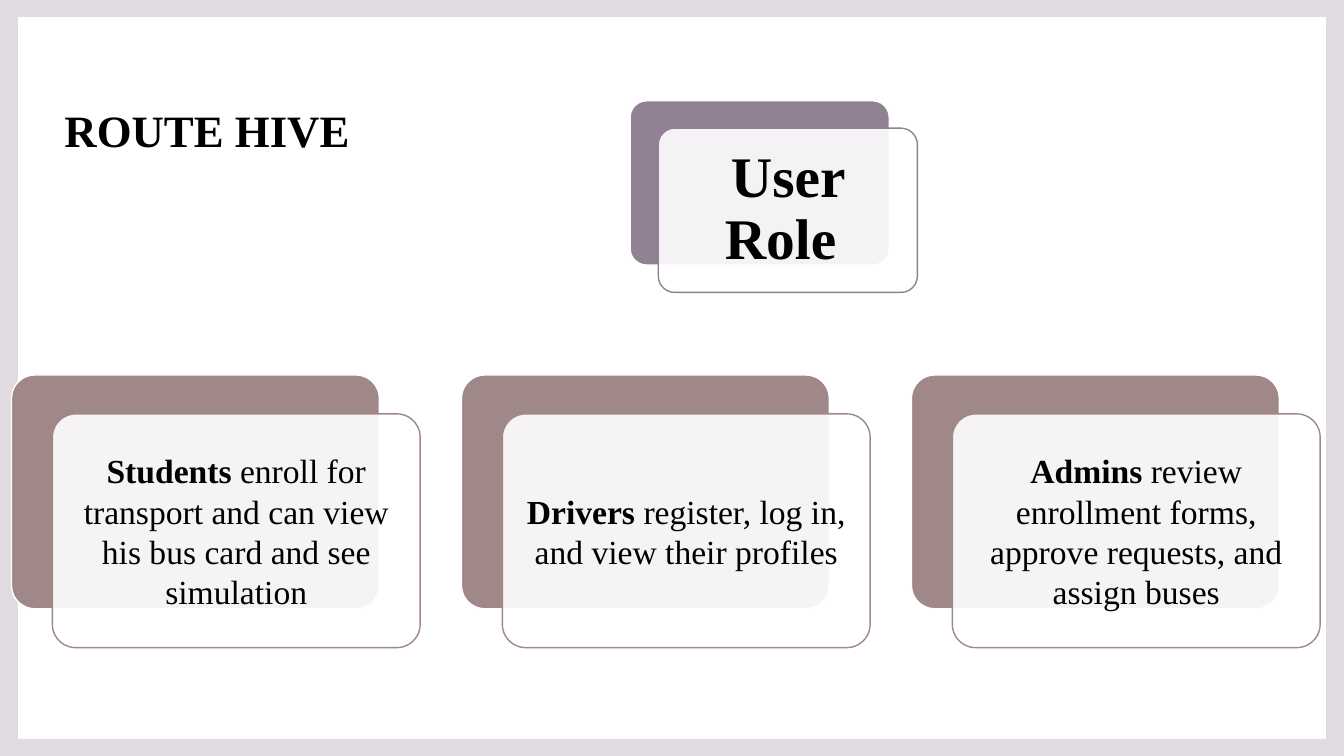
"""Build the Route Hive user role slide."""
from lxml.etree import SubElement
from pptx import Presentation
from pptx.dml.color import RGBColor
from pptx.enum.shapes import MSO_SHAPE
from pptx.enum.text import MSO_ANCHOR, PP_ALIGN
from pptx.oxml.ns import qn
from pptx.util import Cm, Pt

WIDTH, HEIGHT = 33.87, 19.05
FONT = "Times New Roman"
TITLE = "ROUTE HIVE"
BORDER = {"x": 0.45, "y": 0.43, "color": "E0DCE1"}
ROLE = {
    "runs": [("User Role ", True)],
    "box": (15.88, 2.54, 6.53, 4.14), "shift": (0.71, 0.69), "color": "908193",
    "gap": 0.13, "inset": 0.43, "size": 41, "spacing": 0.9,
}
USERS = [
    [("Students", True),
     (" enroll for transport and can view his bus card and see simulation", False)],
    [("Drivers", True), (" register, log in, and view their profiles", False)],
    [("Admins ", True),
     ("review enrollment forms, approve requests, and assign buses", False)],
]
USER_LEFT, USER_TOP, USER_STEP = 0.29, 9.45, 11.34
USER_WIDTH, USER_HEIGHT = 9.27, 5.89
USER_STYLE = {
    "shift": (1.03, 0.98), "color": "A08889",
    "gap": 0.18, "inset": 0.25, "size": 24, "spacing": 1.0,
}


def rgb(value):
    """Turn a hex string into a colour."""
    return RGBColor.from_string(value)


def write(frame, runs, *, size, spacing, inset, bottom=None, anchor=MSO_ANCHOR.MIDDLE):
    """Write one centred paragraph of (text, bold) runs."""
    frame.word_wrap = True
    frame.vertical_anchor = anchor
    frame.margin_left = frame.margin_right = frame.margin_top = Cm(inset)
    frame.margin_bottom = Cm(inset if bottom is None else bottom)
    paragraph = frame.paragraphs[0]
    paragraph.alignment = PP_ALIGN.CENTER
    paragraph.line_spacing = spacing
    for words, bold in runs:
        run = paragraph.add_run()
        run.text = words
        run.font.name = FONT
        run.font.size = Pt(size)
        run.font.bold = bold
        run.font.color.rgb = rgb("000000")


def add_panel(slide, box, fill, line, opacity=100):
    """Add a rounded panel."""
    panel = slide.shapes.add_shape(MSO_SHAPE.ROUNDED_RECTANGLE, *map(Cm, box))
    panel.adjustments[0] = 0.1
    panel.shadow.inherit = False
    panel.fill.solid()
    panel.fill.fore_color.rgb = rgb(fill)
    panel.line.color.rgb = rgb(line)
    panel.line.width = Pt(1)
    if opacity < 100:
        color = panel.fill._xPr.find(qn("a:solidFill"))[0]
        SubElement(color, qn("a:alpha")).set("val", str(opacity * 1000))


def add_card(slide, runs, box, shift, color, gap, **text_format):
    """Add a coloured panel, its translucent front panel and the text."""
    left, top, width, height = box
    left_front, top_front = left + shift[0], top + shift[1]
    add_panel(slide, box, color, "FFFFFF")
    add_panel(slide, (left_front, top_front, width, height), "FFFFFF", color, opacity=90)
    label = slide.shapes.add_textbox(
        Cm(left_front + gap), Cm(top_front + gap),
        Cm(width - 2 * gap), Cm(height - 2 * gap))
    write(label.text_frame, runs, **text_format)


def add_border(slide, x, y, color):
    """Add the band that runs around the slide."""
    right, bottom = WIDTH - x, HEIGHT - y
    outer = [(0, 0), (WIDTH, 0), (WIDTH, HEIGHT), (0, HEIGHT)]
    inner = [(x, y), (x, bottom), (right, bottom), (right, y)]
    builder = slide.shapes.build_freeform(0, 0)
    for corners in (outer, inner):
        points = [(Cm(across), Cm(down)) for across, down in corners]
        builder.move_to(*points[0])
        builder.add_line_segments(points[1:], close=True)
    border = builder.convert_to_shape()
    border.shadow.inherit = False
    border.fill.solid()
    border.fill.fore_color.rgb = rgb(color)
    border.line.fill.background()


def main():
    """Build and save the slide."""
    deck = Presentation()
    deck.slide_width, deck.slide_height = Cm(WIDTH), Cm(HEIGHT)
    slide = deck.slides.add_slide(deck.slide_layouts[5])
    add_border(slide, **BORDER)
    title = slide.shapes.title
    title.left, title.top, title.width, title.height = map(Cm, (0.28, 1.91, 9.88, 3.58))
    write(title.text_frame, [(TITLE, True)], size=32, spacing=1.1,
          inset=0.13, bottom=1.55, anchor=MSO_ANCHOR.BOTTOM)
    for index, runs in enumerate(USERS):
        box = (USER_LEFT + index * USER_STEP, USER_TOP, USER_WIDTH, USER_HEIGHT)
        add_card(slide, runs, box, **USER_STYLE)
    add_card(slide, **ROLE)
    deck.save("out.pptx")


if __name__ == "__main__":
    main()
